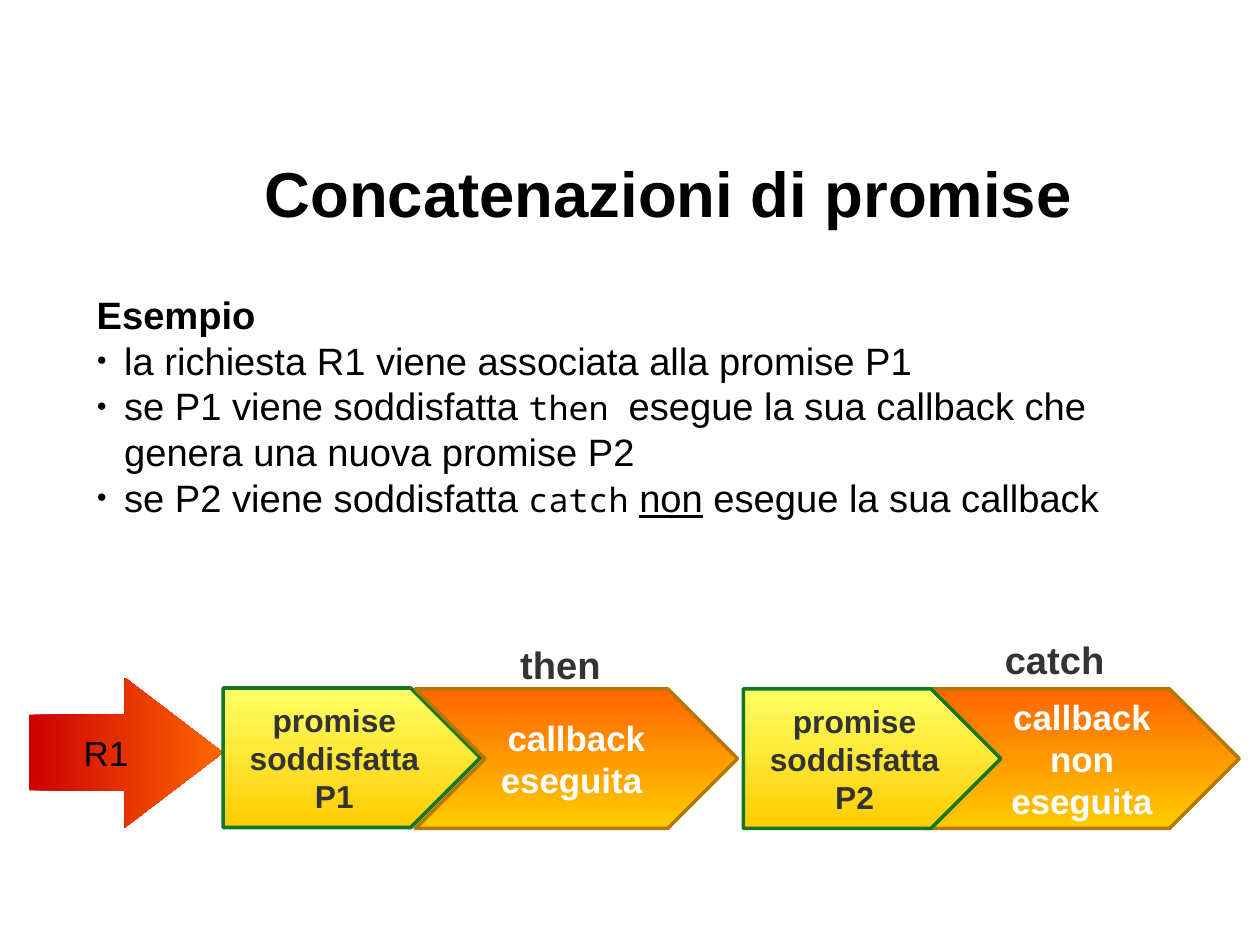
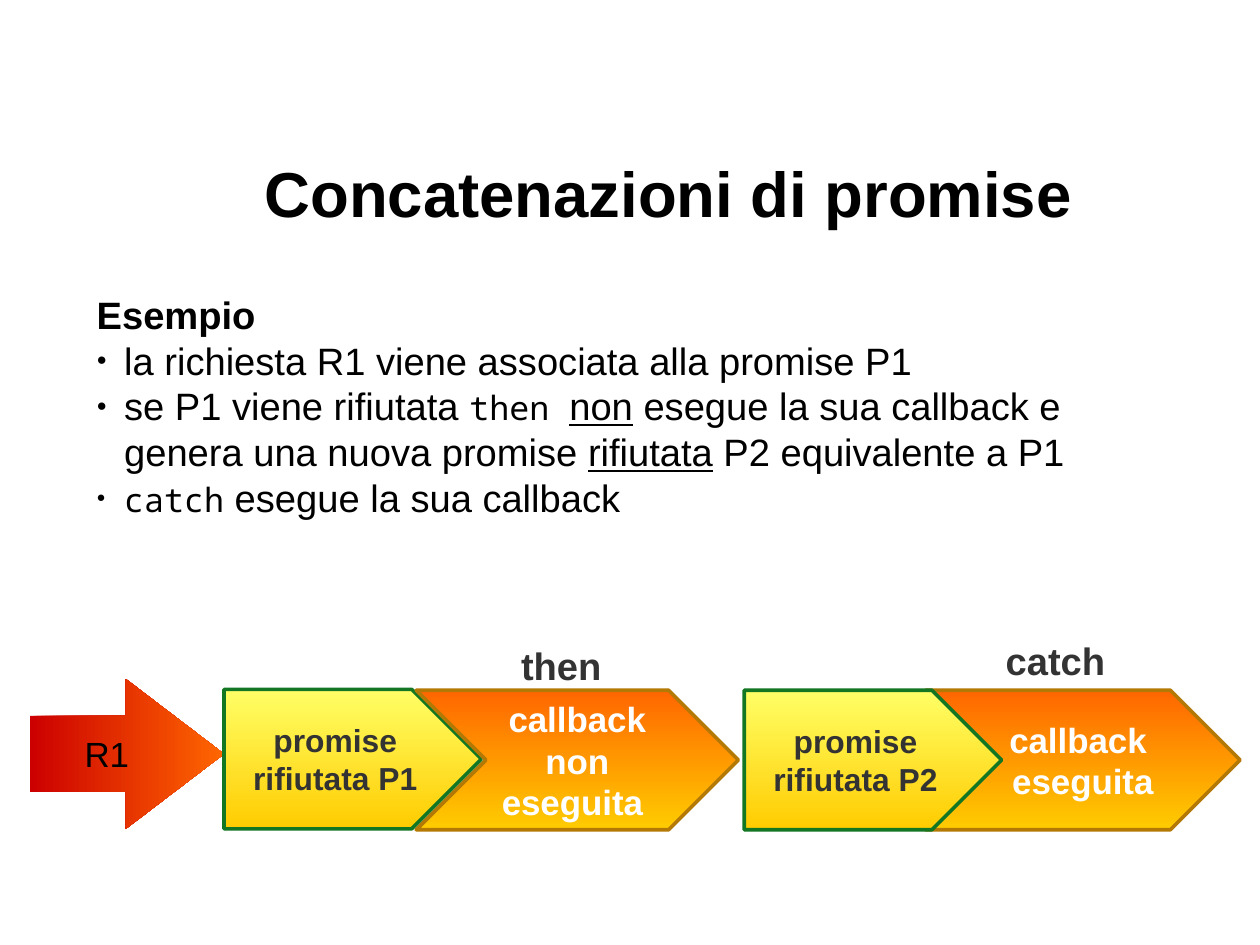
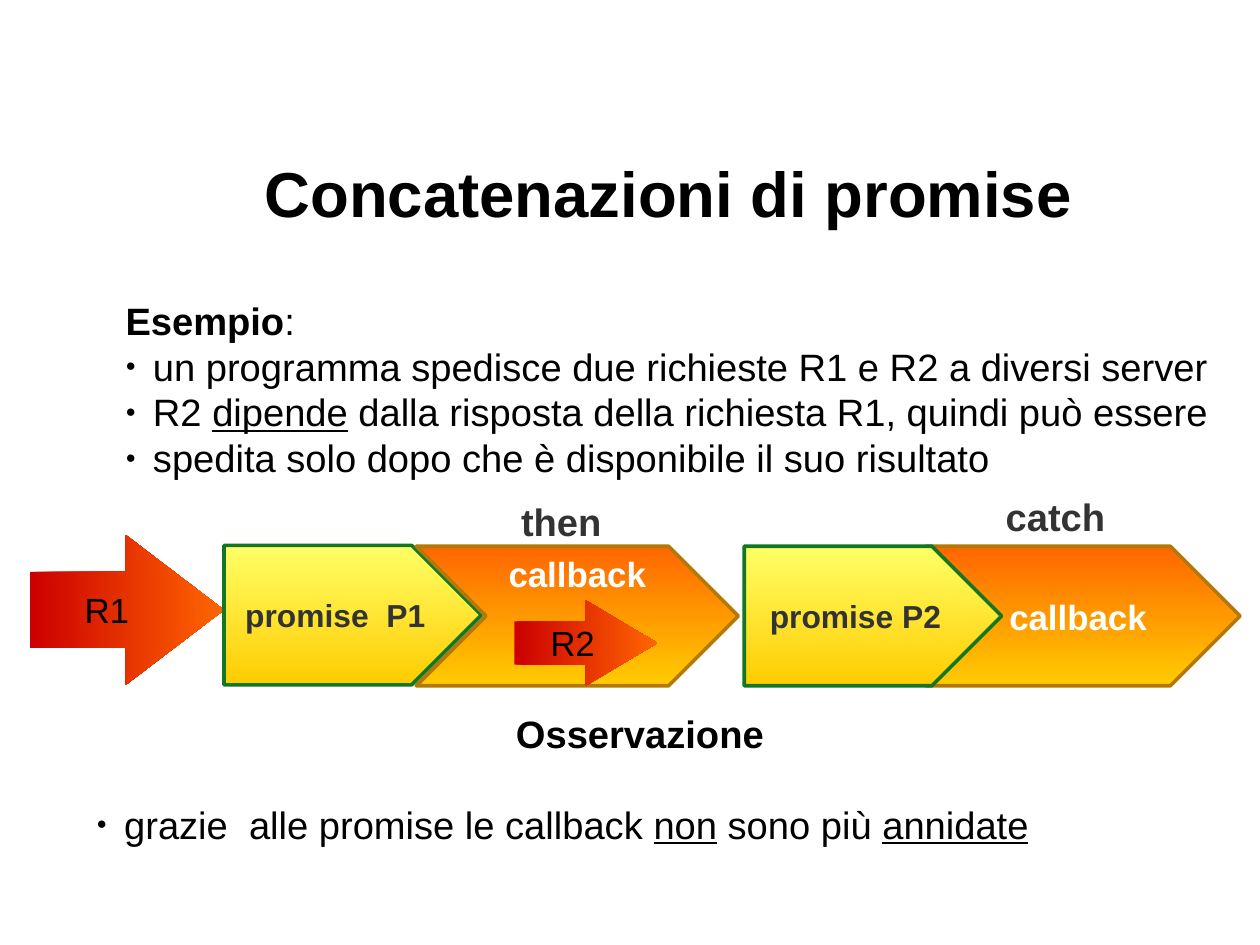
from dataclasses import dataclass

from lxml.etree import SubElement
from pptx import Presentation
from pptx.dml.color import RGBColor as Rgb
from pptx.enum.shapes import MSO_SHAPE as Preset
from pptx.enum.text import MSO_ANCHOR as Anchor, PP_ALIGN as Align
from pptx.oxml.ns import qn
from pptx.util import Cm, Pt


@dataclass(frozen=True)
class Theme:
    """Colours, fonts and type sizes shared by all slides."""
    black: str = "000000"
    dark: str = "333333"
    white: str = "FFFFFF"
    request_fill: tuple = ("CC0000", "FF6600")
    promise_fill: tuple = ("FFFF66", "FFCC00")
    callback_fill: tuple = ("FF6600", "FFCC00")
    promise_edge: str = "127622"
    callback_edge: str = "B47804"
    edge_width: float = 2.3
    font: str = "Arial"
    code_font: str = "Noto Sans Mono"
    title_size: int = 40
    body_size: int = 24
    callback_size: int = 22
    code_size: int = 21
    promise_size: int = 20


@dataclass(frozen=True)
class Span:
    """A piece of a paragraph with its own emphasis."""
    text: str
    emphasis: str


THEME = Theme()
ACROSS, DOWN = 0, 270
NON = Span("non", "underline")


def style(paragraph, size, color=THEME.black, bold=False, align=None):
    """Set the font and alignment of a whole paragraph."""
    font = paragraph.font
    font.name, font.size, font.bold = THEME.font, Pt(size), bold
    font.color.rgb = Rgb.from_string(color)
    paragraph.alignment = align


def write(paragraph, pieces):
    """Fill a paragraph with plain strings and emphasised spans."""
    for piece in pieces:
        run = paragraph.add_run()
        if isinstance(piece, str):
            run.text = piece
            continue
        run.text = piece.text
        if piece.emphasis == "code":
            run.font.name, run.font.size = THEME.code_font, Pt(THEME.code_size)
        elif piece.emphasis == "underline":
            run.font.underline = True
        else:
            run.font.bold = True


def bullet(paragraph):
    """Give a paragraph a small round bullet and a hanging indent."""
    properties = paragraph._p.get_or_add_pPr()
    properties.set("marL", str(Cm(0.61)))
    properties.set("indent", str(-Cm(0.61)))
    color = SubElement(properties, qn("a:buClr"))
    SubElement(color, qn("a:srgbClr"), val=THEME.black)
    SubElement(properties, qn("a:buSzPct"), val="45000")
    SubElement(properties, qn("a:buFont"), typeface=THEME.font)
    SubElement(properties, qn("a:buChar"), char="●")


def text_frame(slide, left, top, width, height):
    """Add a wrapping text box and return its frame."""
    box = slide.shapes.add_textbox(Cm(left), Cm(top), Cm(width), Cm(height))
    box.text_frame.word_wrap = True
    return box.text_frame


def add_title(slide, title):
    """Add the centred slide title."""
    frame = text_frame(slide, 3.2, 3.53, 23.3, 1.57)
    frame.margin_left = frame.margin_right = frame.margin_bottom = 0
    frame.margin_top = Cm(0.1)
    frame.vertical_anchor = Anchor.MIDDLE
    heading = frame.paragraphs[0]
    heading.text, heading.line_spacing = title, 0.93
    style(heading, THEME.title_size, bold=True, align=Align.CENTER)


def add_body(slide, left, top, height, heading, items, align=None, gap=0):
    """Add a heading followed by bulleted items."""
    frame = text_frame(slide, left, top, 24.64, height)
    head = frame.paragraphs[0]
    write(head, heading)
    style(head, THEME.body_size, align=align)
    head.space_after = Pt(gap)
    for item in items:
        paragraph = frame.add_paragraph()
        bullet(paragraph)
        write(paragraph, item)
        style(paragraph, THEME.body_size)


def add_label(slide, left, top, width, method):
    """Add the method name above a callback."""
    label = text_frame(slide, left, top, width, 1.19).paragraphs[0]
    label.text = method
    style(label, THEME.body_size, THEME.dark, bold=True)


def add_block(slide, preset, place, fill, angle, lines, size, color,
              bold=True, edge=None, anchor=Anchor.MIDDLE, adjustments=(0.5,)):
    """Add a gradient shape with centred lines of text."""
    block = slide.shapes.add_shape(preset, *map(Cm, place))
    block.shadow.inherit = False
    for index, value in enumerate(adjustments):
        block.adjustments[index] = value
    block.fill.gradient()
    block.fill.gradient_angle = angle
    for stop, shade in zip(block.fill.gradient_stops, fill):
        stop.color.rgb = Rgb.from_string(shade)
    if edge:
        block.line.color.rgb = Rgb.from_string(edge)
        block.line.width = Pt(THEME.edge_width)
        SubElement(block._element.spPr.find(qn("a:ln")), qn("a:round"))
    else:
        block.line.fill.background()
    frame = block.text_frame
    frame.word_wrap, frame.vertical_anchor = True, anchor
    frame.margin_left = frame.margin_right = Cm(0.28)
    frame.margin_top = frame.margin_bottom = Cm(0.15)
    for index, line in enumerate(lines):
        paragraph = frame.add_paragraph() if index else frame.paragraphs[0]
        write(paragraph, [line])
        style(paragraph, size, color, bold, Align.CENTER)


def add_request(slide, place, name, head=0.655):
    """Add a red request arrow."""
    add_block(slide, Preset.RIGHT_ARROW, place, THEME.request_fill, ACROSS,
              [f" {name}"], THEME.callback_size, THEME.black, bold=False,
              adjustments=(0.506, head))


def add_promise(slide, left, top, lines):
    """Add a yellow promise pentagon."""
    add_block(slide, Preset.PENTAGON, (left, top, 5.72, 3.1),
              THEME.promise_fill, DOWN, lines, THEME.promise_size, THEME.dark,
              edge=THEME.promise_edge)


def add_callback(slide, left, top, width, lines, anchor=Anchor.MIDDLE):
    """Add an orange callback chevron."""
    add_block(slide, Preset.CHEVRON, (left, top, width, 3.1),
              THEME.callback_fill, DOWN, lines, THEME.callback_size,
              THEME.white, edge=THEME.callback_edge, anchor=anchor)


def add_chain(slide, left, top, first, then, second, catch,
              then_anchor=Anchor.MIDDLE):
    """Add the chain from request R1 through then to catch."""
    add_request(slide, (left, top, 4.32, 3.33), "R1")
    add_promise(slide, left + 4.32, top + 0.23, first)
    add_callback(slide, left + 8.59, top + 0.25, 7.16, then, then_anchor)
    add_label(slide, left + 10.67, top - 0.94, 3.18, "then")
    add_callback(slide, left + 19.91, top + 0.25, 6.99, catch)
    add_label(slide, left + 21.44, top - 1.04, 2.92, "catch")
    add_promise(slide, left + 15.88, top + 0.25, second)


def add_page(deck):
    """Add a blank slide with the common title."""
    slide = deck.slides.add_slide(deck.slide_layouts[6])
    add_title(slide, "Concatenazioni di promise")
    return slide


def fulfilled_slide(deck):
    """Build the case where the promise is fulfilled."""
    slide = add_page(deck)
    add_body(slide, 1.9, 6.35, 5.92, [Span("Esempio", "bold")], [
        ["la richiesta R1 viene associata alla promise P1"],
        ["se P1 viene soddisfatta ", Span("then ", "code"),
         "esegue la sua callback che genera una nuova promise P2"],
        ["se P2 viene soddisfatta ", Span("catch", "code"), " ", NON,
         " esegue la sua callback"],
    ])
    add_chain(slide, 0.64, 15.06,
              ["promise soddisfatta P1"], ["callback", "eseguita "],
              ["promise", "soddisfatta P2"], ["callback non eseguita"])


def rejected_slide(deck):
    """Build the case where the promise is rejected."""
    slide = add_page(deck)
    add_chain(slide, 0.66, 15.09,
              ["promise rifiutata P1"], ["callback", "non eseguita "],
              ["promise", "rifiutata P2"], ["callback  eseguita"])
    add_body(slide, 1.9, 6.35, 6.63, [Span("Esempio", "bold")], [
        ["la richiesta R1 viene associata alla promise P1"],
        ["se P1 viene rifiutata ", Span("then ", "code"), NON,
         " esegue la sua callback e  genera una nuova promise ",
         Span("rifiutata", "underline"), " P2 equivalente a P1"],
        [Span("catch", "code"), " esegue la sua callback"],
    ])


def dependent_slide(deck):
    """Build the case of two dependent requests."""
    slide = add_page(deck)
    add_body(slide, 2.54, 6.48, 5.92, [Span("Esempio", "bold"), ":"], [
        ["un programma spedisce due richieste R1 e R2 a diversi server"],
        ["R2 ", Span("dipende", "underline"),
         " dalla risposta della richiesta R1, quindi può essere"],
        ["spedita solo dopo che è disponibile il suo risultato"],
    ])
    add_chain(slide, 0.66, 11.89, ["promise  P1"], ["callback"],
              ["promise P2"], ["callback "], then_anchor=Anchor.TOP)
    add_request(slide, (11.43, 13.34, 3.18, 1.9), "R2", head=0.838)
    add_body(slide, 1.9, 15.67, 4.98, [Span("Osservazione", "bold")], [
        ["grazie  alle promise le callback ", NON, " sono più ",
         Span("annidate", "underline")],
    ], align=Align.CENTER, gap=28)


def main():
    """Build and save the presentation."""
    deck = Presentation()
    deck.slide_width, deck.slide_height = Cm(28), Cm(21)
    fulfilled_slide(deck)
    rejected_slide(deck)
    dependent_slide(deck)
    deck.save("out.pptx")


if __name__ == "__main__":
    main()
